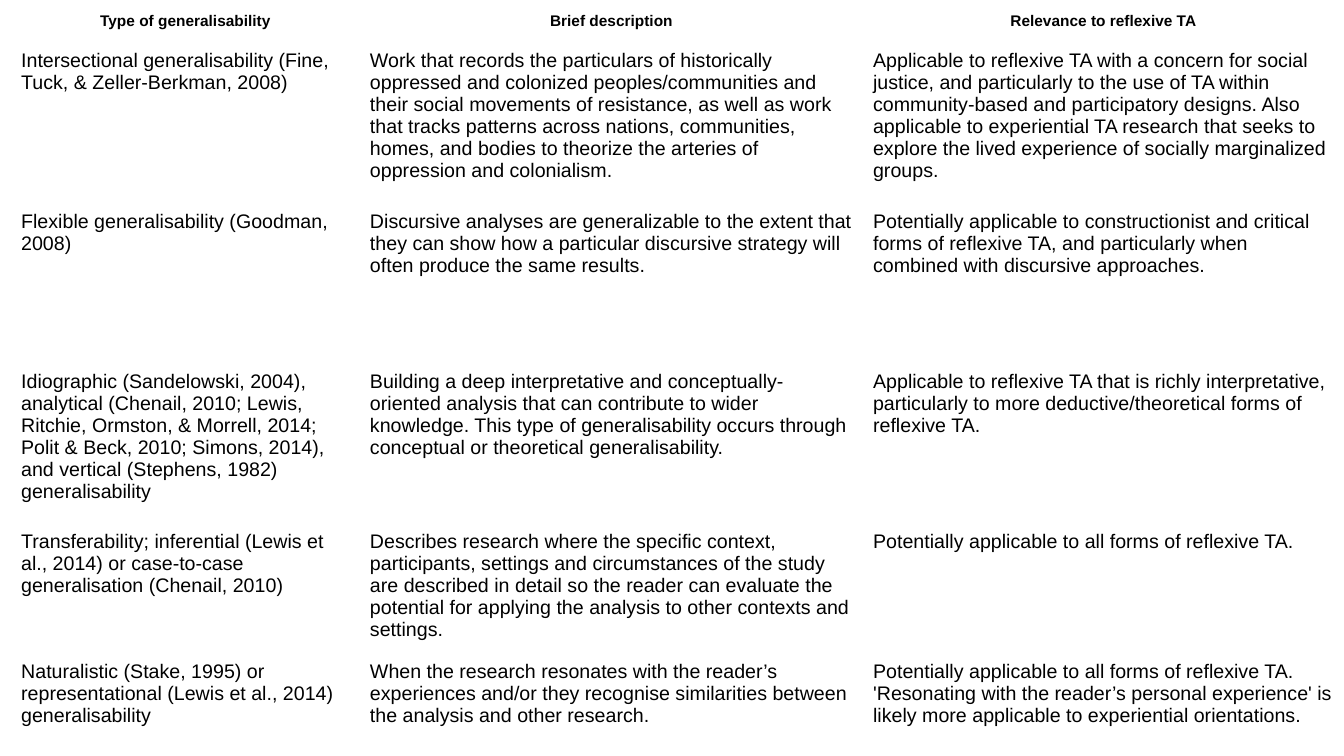
import dataclasses
import typing

import pptx
import pptx.dml.color
import pptx.enum.text
import pptx.util


@dataclasses.dataclass(frozen=True)
class Theme:
    font: str = "Arial"
    ink: pptx.dml.color.RGBColor = pptx.dml.color.RGBColor(0, 0, 0)
    header_size: int = 11
    body_size: int = 14
    header_spacing: float = 1.15
    cell_margin: float = 0.1


class Generalisability(typing.NamedTuple):
    kind: str
    description: str
    relevance: str


THEME = Theme()
SLIDE_WIDTH, SLIDE_HEIGHT = 13.33, 7.5
TABLE_LEFT, TABLE_TOP = 0.11, 0
COLUMN_WIDTHS = (3.46, 4.99, 4.77)
ROW_HEIGHTS = (0.39, 1.59, 1.59, 1.59, 1.23, 1.05)

HEADER = Generalisability(
    "Type of generalisability", "Brief description", "Relevance to reflexive TA"
)
ENTRIES = (
    Generalisability(
        "Intersectional generalisability (Fine, Tuck, & Zeller-Berkman, 2008)",
        "Work that records the particulars of historically oppressed and colonized "
        "peoples/communities and their social movements of resistance, as well as work "
        "that tracks patterns across nations, communities, homes, and bodies to theorize "
        "the arteries of oppression and colonialism.",
        "Applicable to reflexive TA with a concern for social justice, and particularly "
        "to the use of TA within community-based and participatory designs. Also "
        "applicable to experiential TA research that seeks to explore the lived "
        "experience of socially marginalized groups.",
    ),
    Generalisability(
        "Flexible generalisability (Goodman, 2008)",
        "Discursive analyses are generalizable to the extent that they can show how a "
        "particular discursive strategy will often produce the same results.",
        "Potentially applicable to constructionist and critical forms of reflexive TA, "
        "and particularly when combined with discursive approaches.",
    ),
    Generalisability(
        "Idiographic (Sandelowski, 2004), analytical (Chenail, 2010; Lewis, Ritchie, "
        "Ormston, & Morrell, 2014; Polit & Beck, 2010; Simons, 2014), and vertical "
        "(Stephens, 1982) generalisability",
        "Building a deep interpretative and conceptually-oriented analysis that can "
        "contribute to wider knowledge. This type of generalisability occurs through "
        "conceptual or theoretical generalisability.",
        "Applicable to reflexive TA that is richly interpretative, particularly to more "
        "deductive/theoretical forms of reflexive TA.",
    ),
    Generalisability(
        "Transferability; inferential (Lewis et al., 2014) or case-to-case "
        "generalisation (Chenail, 2010)",
        "Describes research where the specific context, participants, settings and "
        "circumstances of the study are described in detail so the reader can evaluate "
        "the potential for applying the analysis to other contexts and settings.",
        "Potentially applicable to all forms of reflexive TA.",
    ),
    Generalisability(
        "Naturalistic (Stake, 1995) or representational (Lewis et al., 2014) "
        "generalisability",
        "When the research resonates with the reader’s experiences and/or they recognise "
        "similarities between the analysis and other research.",
        "Potentially applicable to all forms of reflexive TA. 'Resonating with the "
        "reader’s personal experience' is likely more applicable to experiential "
        "orientations.",
    ),
)


def fill_cell(cell: typing.Any, text: str, is_header: bool) -> None:
    cell.fill.background()
    margin = pptx.util.Inches(THEME.cell_margin)
    cell.margin_left = cell.margin_right = margin
    cell.margin_top = cell.margin_bottom = margin
    para = cell.text_frame.paragraphs[0]
    para.text = text
    if is_header:
        para.alignment = pptx.enum.text.PP_ALIGN.CENTER
        para.line_spacing = THEME.header_spacing
    font = para.runs[0].font
    font.name = THEME.font
    font.size = pptx.util.Pt(THEME.header_size if is_header else THEME.body_size)
    font.bold = is_header
    font.color.rgb = THEME.ink


def add_generalisability_table(page: typing.Any) -> None:
    frame = page.shapes.add_table(
        len(ROW_HEIGHTS),
        len(COLUMN_WIDTHS),
        pptx.util.Inches(TABLE_LEFT),
        pptx.util.Inches(TABLE_TOP),
        pptx.util.Inches(sum(COLUMN_WIDTHS)),
        pptx.util.Inches(sum(ROW_HEIGHTS)),
    )
    table = frame.table
    table.first_row = table.horz_banding = False
    for column, width in zip(table.columns, COLUMN_WIDTHS):
        column.width = pptx.util.Inches(width)
    for row, height in zip(table.rows, ROW_HEIGHTS):
        row.height = pptx.util.Inches(height)
    for row_index, entry in enumerate((HEADER, *ENTRIES)):
        for column_index, text in enumerate(entry):
            fill_cell(table.cell(row_index, column_index), text, row_index == 0)


def main() -> None:
    deck = pptx.Presentation()
    deck.slide_width = pptx.util.Inches(SLIDE_WIDTH)
    deck.slide_height = pptx.util.Inches(SLIDE_HEIGHT)
    page = deck.slides.add_slide(deck.slide_layouts.get_by_name("Blank"))
    add_generalisability_table(page)
    deck.save("out.pptx")


if __name__ == "__main__":
    main()
